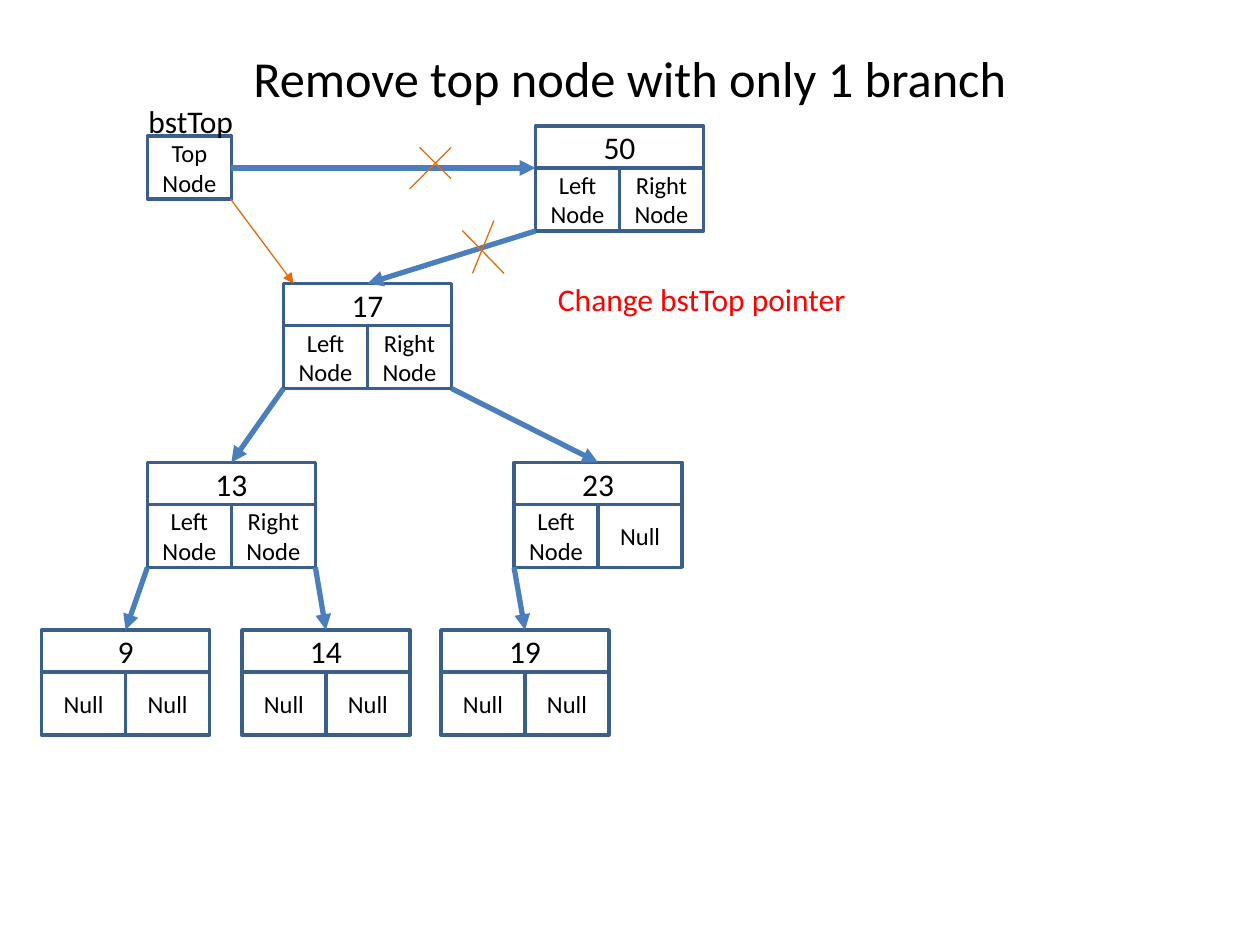
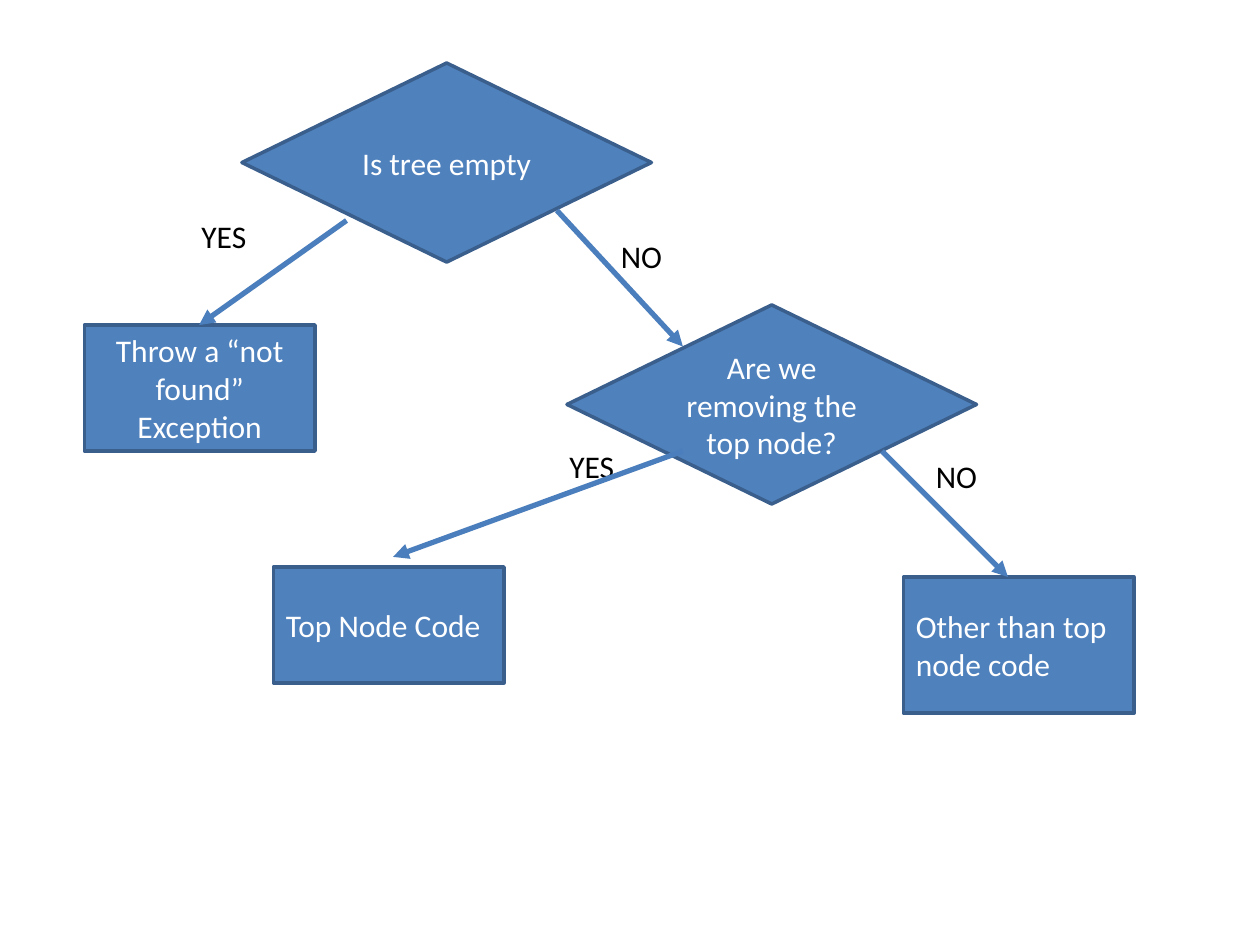
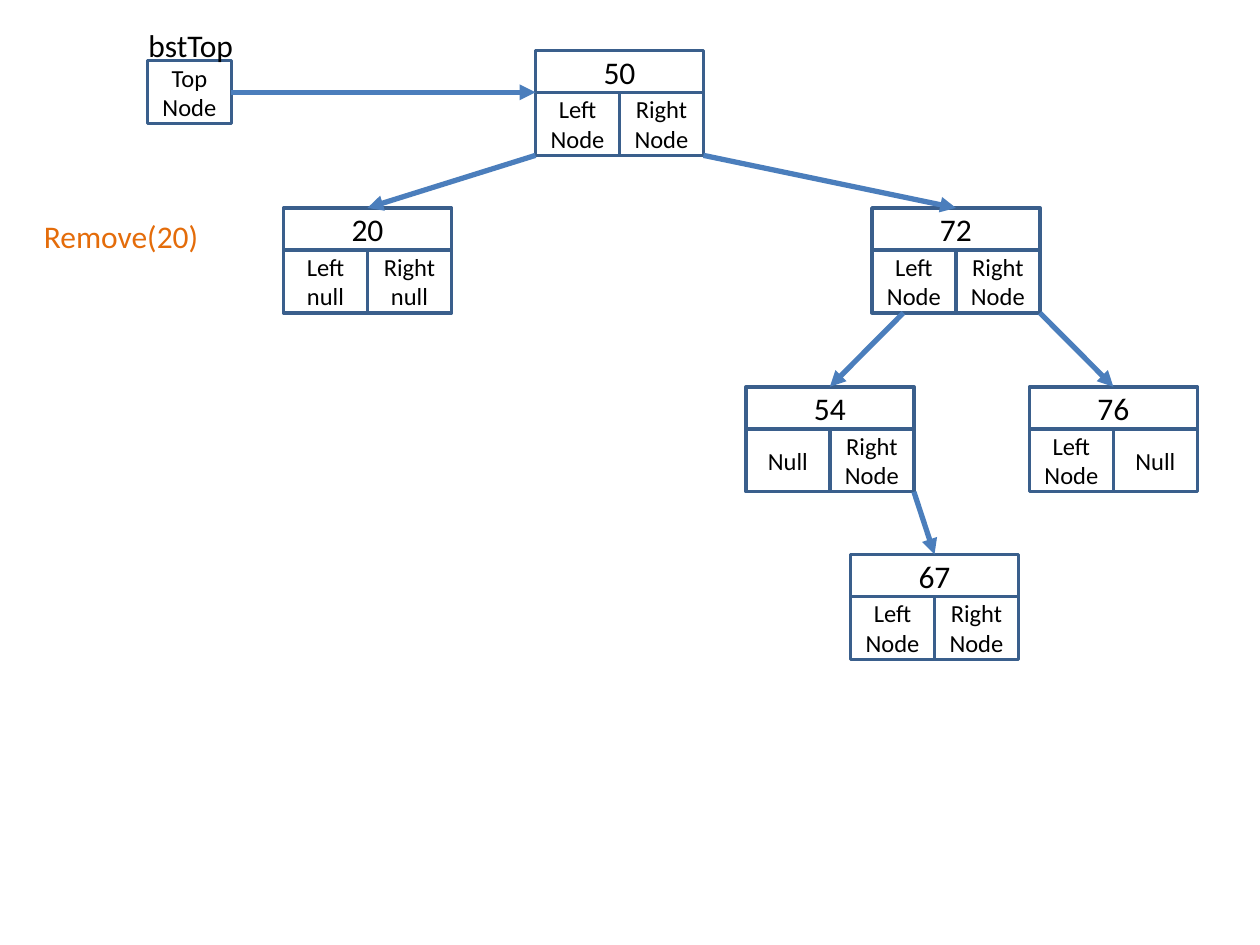
from dataclasses import dataclass

from lxml import etree
from pptx import Presentation
from pptx import util as u
from pptx.dml.color import RGBColor
from pptx.enum import shapes as kinds
from pptx.enum import text
from pptx.oxml import ns

FONT = "Calibri"
BLACK, WHITE, RED, ORANGE = "000000", "FFFFFF", "FF0000", "E46C0A"
BLUE, OUTLINE, ARROW = "4F81BD", "3A5F8C", "4B7EBC"

# Tree geometry in inches: a value cell sits over two link cells.
CELL_WIDTH, VALUE_HEIGHT, LINK_HEIGHT = 2 / 3, 1 / 3, 0.5
NODE_HEIGHT = VALUE_HEIGHT + LINK_HEIGHT
LEVELS = (0, 1.25, 2.67, 4)
POINTER_LEFT = 1.17

LEFT, RIGHT, NULL = "Left Node", "Right Node", "Null"
RECTANGLE = kinds.MSO_SHAPE.RECTANGLE
DECISION = kinds.MSO_SHAPE.FLOWCHART_DECISION
PROCESS = kinds.MSO_SHAPE.FLOWCHART_PROCESS
CENTER, START = text.PP_ALIGN.CENTER, text.PP_ALIGN.LEFT


@dataclass
class Node:
    """A tree node; level counts from the root at 0."""
    value: str
    left: float
    level: int
    left_link: str = LEFT
    right_link: str = RIGHT


@dataclass
class Edge:
    """A link from a parent's lower corner to a child's top centre."""
    parent: str
    child: str
    from_right: bool = False
    inset: float = 0


@dataclass
class Step:
    """A box of the flow chart."""
    kind: int
    caption: str
    left: float
    top: float
    width: float
    height: float
    align: int = CENTER


@dataclass
class Line:
    """A straight line, with or without an arrowhead."""
    x1: float
    y1: float
    x2: float
    y2: float
    color: str = ARROW
    width: float = 3
    arrow: bool = True


@dataclass
class Label:
    """A free line of text."""
    caption: str
    left: float
    top: float
    width: float
    color: str = BLACK


def rgb(color: str) -> RGBColor:
    """Turn a hex string into a colour."""
    return RGBColor.from_string(color)


def set_text(frame, caption: str, size: float, color: str, align=CENTER) -> None:
    """Fill a text frame and format its runs."""
    frame.text = caption
    for paragraph in frame.paragraphs:
        paragraph.alignment = align
        for run in paragraph.runs:
            run.font.name = FONT
            run.font.size = u.Pt(size)
            run.font.color.rgb = rgb(color)


def add_box(parent, step: Step, fill: str | None, size: float, color: str) -> None:
    """Draw an outlined shape with text on a slide or in a group."""
    shape = parent.shapes.add_shape(
        step.kind, *map(u.Inches, (step.left, step.top, step.width, step.height)))
    shape.shadow.inherit = False
    if fill:
        shape.fill.solid()
        shape.fill.fore_color.rgb = rgb(fill)
    else:
        shape.fill.background()
    shape.line.color.rgb = rgb(OUTLINE)
    shape.line.width = u.Pt(2)
    shape.text_frame.word_wrap = True
    shape.text_frame.vertical_anchor = text.MSO_ANCHOR.MIDDLE
    set_text(shape.text_frame, step.caption, size, color, step.align)


def add_label(slide, label: Label) -> None:
    """Draw an unwrapped text box."""
    shape = slide.shapes.add_textbox(
        *map(u.Inches, (label.left, label.top, label.width, 0.4)))
    set_text(shape.text_frame, label.caption, 18, label.color, START)
    shape.text_frame.word_wrap = False
    shape.text_frame.auto_size = text.MSO_AUTO_SIZE.SHAPE_TO_FIT_TEXT


def add_line(slide, line: Line) -> None:
    """Draw a connector without shadow."""
    connector = slide.shapes.add_connector(
        kinds.MSO_CONNECTOR.STRAIGHT,
        *map(u.Inches, (line.x1, line.y1, line.x2, line.y2)))
    connector.line.color.rgb = rgb(line.color)
    connector.line.width = u.Pt(line.width)
    if line.arrow:
        etree.SubElement(connector.get_or_add_ln(), ns.qn("a:tailEnd"), type="triangle")
    etree.SubElement(connector.element.spPr, ns.qn("a:effectLst"))


def add_node(slide, node: Node, root_top: float) -> None:
    """Draw a node as a group of three cells."""
    group = slide.shapes.add_group_shape()
    top = root_top + LEVELS[node.level]
    middle, link_top = node.left + CELL_WIDTH, top + VALUE_HEIGHT
    add_box(group, Step(RECTANGLE, node.value, node.left, top,
                        2 * CELL_WIDTH, VALUE_HEIGHT), WHITE, 18, BLACK)
    for caption, left in ((node.right_link, middle), (node.left_link, node.left)):
        add_box(group, Step(RECTANGLE, caption, left, link_top,
                            CELL_WIDTH, LINK_HEIGHT), WHITE, 14, BLACK)


def add_tree(slide, nodes: list[Node], edges: list[Edge], root_top: float) -> None:
    """Draw the top pointer, all nodes and the links between them."""
    for node in nodes:
        add_node(slide, node, root_top)
    add_box(slide, Step(RECTANGLE, "Top\nNode", POINTER_LEFT, root_top + 0.08,
                        CELL_WIDTH, LINK_HEIGHT), None, 14, BLACK)
    add_label(slide, Label("bstTop", 1.08, root_top - 0.24, 0.88))
    link_y = root_top + VALUE_HEIGHT
    add_line(slide, Line(POINTER_LEFT + CELL_WIDTH, link_y, nodes[0].left, link_y))
    by_value = {node.value: node for node in nodes}
    for edge in edges:
        parent, child = by_value[edge.parent], by_value[edge.child]
        start = parent.left + (2 * CELL_WIDTH if edge.from_right else edge.inset)
        add_line(slide, Line(start, root_top + LEVELS[parent.level] + NODE_HEIGHT,
                             child.left + CELL_WIDTH, root_top + LEVELS[child.level]))


def build_removal(presentation) -> None:
    """Slide 1: removing a top node that has one branch."""
    slide = presentation.slides.add_slide(presentation.slide_layouts[5])
    title = slide.shapes.title
    title.left, title.top, title.width, title.height = map(u.Inches, (0.5, 0.3, 9, 0.62))
    set_text(title.text_frame, "Remove top node with only 1 branch", 28.8, BLACK)
    title.text_frame.vertical_anchor = text.MSO_ANCHOR.MIDDLE
    title.text_frame.auto_size = text.MSO_AUTO_SIZE.NONE
    nodes = [
        Node("50", 4.25, 0),
        Node("17", 2.25, 1),
        Node("13", 1.17, 2),
        Node("23", 4.08, 2, right_link=NULL),
        Node("14", 1.92, 3, NULL, NULL),
        Node("9", 0.33, 3, NULL, NULL),
        Node("19", 3.5, 3, NULL, NULL),
    ]
    edges = [
        Edge("50", "17"),
        Edge("17", "13"),
        Edge("17", "23", from_right=True),
        Edge("13", "9"),
        Edge("13", "14", from_right=True),
        Edge("23", "19"),
    ]
    add_tree(slide, nodes, edges, root_top=1)
    cross_strokes = ((3.58, 1.17, 3.25, 1.5), (3.33, 1.17, 3.58, 1.42),
                     (3.67, 1.83, 4, 2.17), (3.92, 1.75, 3.75, 2.17))
    for stroke in cross_strokes:
        add_line(slide, Line(*stroke, ORANGE, 0.75, arrow=False))
    add_line(slide, Line(1.83, 1.58, 2.33, 2.25, ORANGE, 0.75))
    add_label(slide, Label("Change bstTop pointer", 4.33, 2.17, 2.51, RED))


def build_flow_chart(presentation) -> None:
    """Slide 2: the decisions made when removing."""
    slide = presentation.slides.add_slide(presentation.slide_layouts[6])
    steps = [
        Step(DECISION, "Is tree empty", 1.92, 0.5, 3.25, 1.58),
        Step(DECISION, "Are we removing the top node?", 4.5, 2.42, 3.25, 1.58),
        Step(PROCESS, "Throw a “not found” Exception", 0.67, 2.58, 1.83, 1),
        Step(PROCESS, "Other than top node code", 7.17, 4.58, 1.83, 1.08, START),
        Step(PROCESS, "Top Node Code", 2.17, 4.5, 1.83, 0.92, START),
    ]
    for step in steps:
        add_box(slide, step, BLUE, 18, WHITE)
    answers = [
        Label("YES", 1.5, 1.67, 0.56),
        Label("YES", 4.42, 3.5, 0.56),
        Label("NO", 7.33, 3.58, 0.53),
        Label("NO", 4.83, 1.83, 0.53),
    ]
    for answer in answers:
        add_label(slide, answer)
    for ends in ((2.75, 1.75, 1.58, 2.58), (4.42, 1.67, 5.42, 2.75),
                 (5.42, 3.58, 3.12, 4.42), (7, 3.58, 8, 4.58)):
        add_line(slide, Line(*ends))


def build_leaf_removal(presentation) -> None:
    """Slide 3: the tree from which a leaf is removed."""
    slide = presentation.slides.add_slide(presentation.slide_layouts[6])
    nodes = [
        Node("50", 4.25, 0),
        Node("20", 2.25, 1, "Left null", "Right null"),
        Node("72", 6.92, 1),
        Node("54", 5.92, 2, left_link=NULL),
        Node("76", 8.17, 2, right_link=NULL),
        Node("67", 6.75, 3),
    ]
    edges = [
        Edge("50", "20"),
        Edge("50", "72", from_right=True),
        Edge("72", "76", from_right=True),
        Edge("72", "54", inset=0.25),
        Edge("54", "67", from_right=True),
    ]
    add_tree(slide, nodes, edges, root_top=0.4)
    add_label(slide, Label("Remove(20)", 0.25, 1.67, 1.44, ORANGE))


def main() -> None:
    """Build and save the presentation."""
    presentation = Presentation()
    presentation.slide_width, presentation.slide_height = u.Inches(10), u.Inches(7.5)
    build_removal(presentation)
    build_flow_chart(presentation)
    build_leaf_removal(presentation)
    presentation.save("out.pptx")


main()
